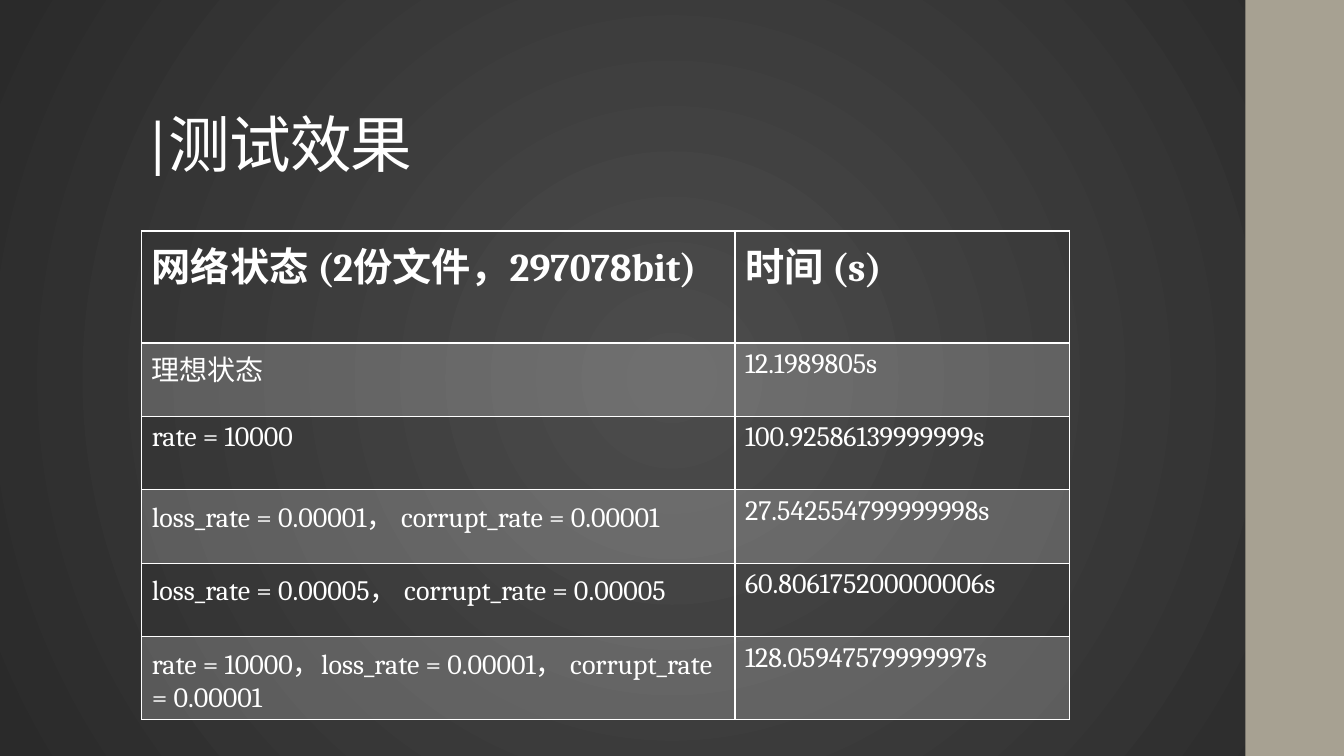
from lxml import etree
from pptx import Presentation
from pptx.dml.color import RGBColor
from pptx.enum.shapes import MSO_SHAPE
from pptx.enum.text import MSO_ANCHOR, MSO_AUTO_SIZE, PP_ALIGN
from pptx.oxml.ns import qn
from pptx.util import Pt

PX = 9525
SLIDE_SIZE = (1280, 720)
TITLE_ONLY = 5
RECTANGLE = MSO_SHAPE.RECTANGLE
BOTTOM, LEFT, NO_FIT = MSO_ANCHOR.BOTTOM, PP_ALIGN.LEFT, MSO_AUTO_SIZE.NONE

WHITE = RGBColor(0xFF, 0xFF, 0xFF)
CENTRE_GREY = RGBColor(0x4C, 0x4C, 0x4C)
EDGE_GREY = RGBColor(0x2A, 0x2A, 0x2A)
SAND = RGBColor(0xA7, 0xA1, 0x92)

TITLE_FONT = {"name": "Cambria", "size": Pt(44), "bold": False}
HEADER_FONT = {"name": "Cambria", "size": Pt(28), "bold": True}
BODY_FONT = {"name": "Cambria", "size": Pt(20), "bold": False}

COLUMN_WIDTHS = (565, 319)
ROW_HEIGHT = 70
BAND_ALPHA = 20
RESULTS = [
    ("网络状态 (2份文件，297078bit)", "时间 (s)"),
    ("理想状态", "12.1989805s"),
    ("rate = 10000", "100.92586139999999s"),
    ("loss_rate = 0.00001， corrupt_rate = 0.00001", "27.542554799999998s"),
    ("loss_rate = 0.00005， corrupt_rate = 0.00005", "60.806175200000006s"),
    ("rate = 10000，loss_rate = 0.00001， corrupt_rate = 0.00001", "128.05947579999997s"),
]


def emu(box):
    """Turn px lengths into EMU."""
    return [length * PX for length in box]


def add_child(parent, tag, **attributes):
    """Append an XML element with the given attributes."""
    return etree.SubElement(parent, qn(tag), {k: str(v) for k, v in attributes.items()})


def write_text(text_frame, text, font_values):
    """Write one white run with the given font values."""
    run = text_frame.paragraphs[0].add_run()
    run.text = text
    for name, value in font_values.items():
        setattr(run.font, name, value)
    run.font.color.rgb = WHITE
    return run


def paint_background(slide):
    """Fill the background with a circular grey gradient."""
    fill = slide.background.fill
    fill.gradient()
    for stop, color, position in zip(fill.gradient_stops, (CENTRE_GREY, EDGE_GREY), (0, 1)):
        stop.color.rgb = color
        stop.position = position
    gradient = slide.element.find(".//" + qn("a:gradFill"))
    gradient.remove(gradient.find(qn("a:lin")))
    circle = add_child(gradient, "a:path", path="circle")
    add_child(circle, "a:fillToRect", l=100000, t=100000, r=100000, b=100000)


def add_sidebar(slide, box):
    """Add the plain sand band."""
    band = slide.shapes.add_shape(RECTANGLE, *emu(box))
    band.shadow.inherit = False
    band.fill.solid()
    band.fill.fore_color.rgb = SAND
    band.line.fill.background()


def place_title(slide, box, text):
    """Move and format the title placeholder."""
    title = slide.shapes.title
    title.left, title.top, title.width, title.height = emu(box)
    frame = title.text_frame
    frame.word_wrap, frame.auto_size, frame.vertical_anchor = True, NO_FIT, BOTTOM
    paragraph = frame.paragraphs[0]
    paragraph.alignment, paragraph.line_spacing = LEFT, 0.9
    run = write_text(frame, text, TITLE_FONT)
    run.font._element.set("spc", "-50")


def set_borders(cell, widths):
    """Draw solid white cell borders, widths in points by side."""
    properties = cell._tc.get_or_add_tcPr()
    for side, width in widths.items():
        line = add_child(properties, f"a:ln{side}", w=Pt(width))
        add_child(add_child(line, "a:solidFill"), "a:srgbClr", val=WHITE)


def fill_cell(cell, banded):
    """Give a cell a translucent white fill or none."""
    if not banded:
        cell.fill.background()
        return
    cell.fill.solid()
    cell.fill.fore_color.rgb = WHITE
    color = cell._tc.tcPr.find(qn("a:solidFill")).find(qn("a:srgbClr"))
    add_child(color, "a:alpha", val=BAND_ALPHA * 1000)


def add_results_table(slide, left, top):
    """Add the table of network states and times."""
    box = (left, top, sum(COLUMN_WIDTHS), ROW_HEIGHT * len(RESULTS))
    table = slide.shapes.add_table(len(RESULTS), len(COLUMN_WIDTHS), *emu(box)).table
    for column, width in zip(table.columns, COLUMN_WIDTHS):
        column.width = width * PX
    for row_index, texts in enumerate(RESULTS):
        table.rows[row_index].height = ROW_HEIGHT * PX
        widths = {"L": 1, "R": 1, "T": 2 if row_index == 1 else 1, "B": 2 if row_index == 0 else 1}
        for column_index, text in enumerate(texts):
            cell = table.cell(row_index, column_index)
            set_borders(cell, widths)
            fill_cell(cell, row_index % 2 == 1)
            write_text(cell.text_frame, text, BODY_FONT if row_index else HEADER_FONT)


def main():
    """Build and save the slide."""
    presentation = Presentation()
    presentation.slide_width, presentation.slide_height = emu(SLIDE_SIZE)
    slide = presentation.slides.add_slide(presentation.slide_layouts[TITLE_ONLY])
    paint_background(slide)
    add_sidebar(slide, (1186, 0, 96, 720))
    place_title(slide, (132, 38, 1018, 139), "|测试效果")
    add_results_table(slide, 135, 220)
    presentation.save("out.pptx")


if __name__ == "__main__":
    main()
